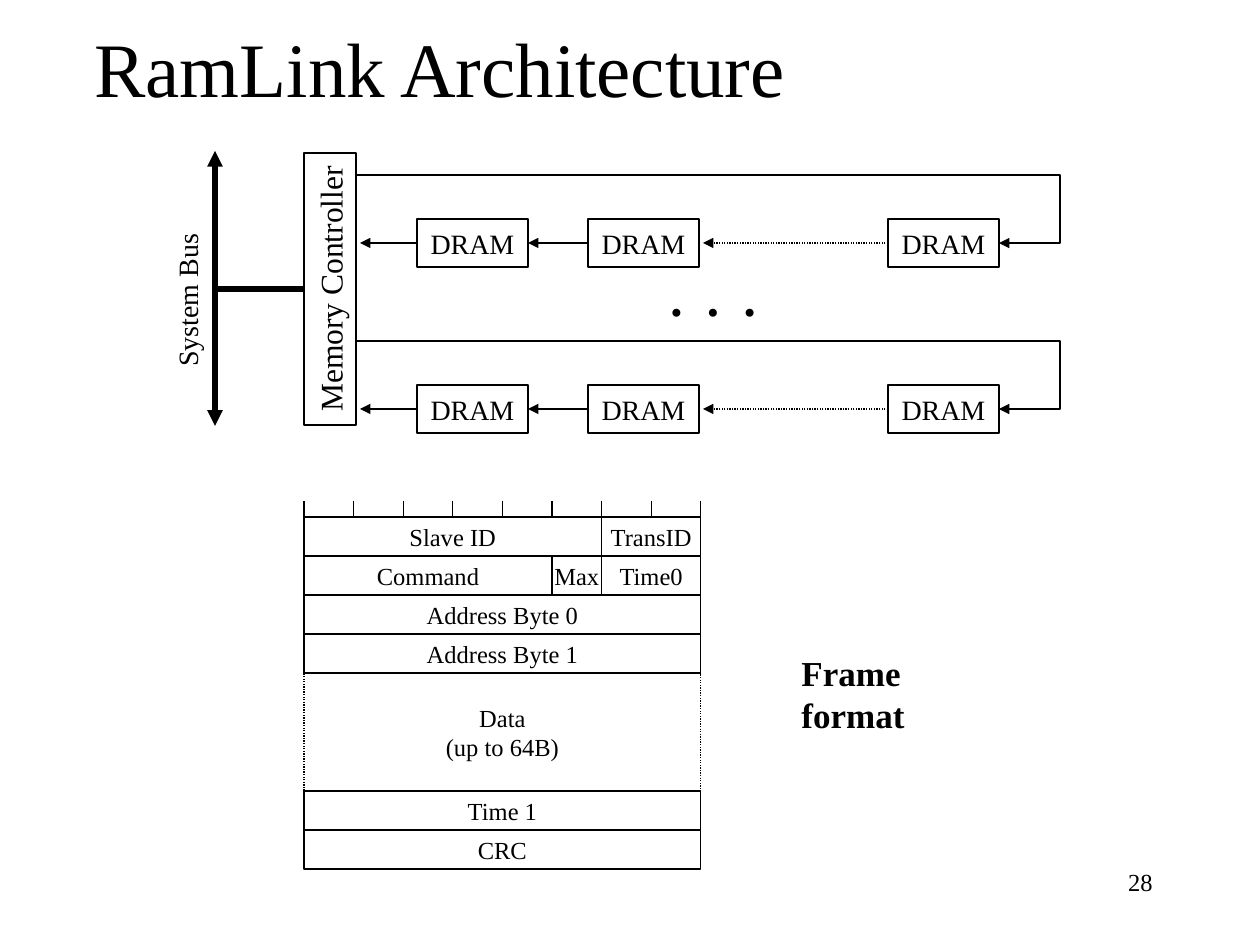
from dataclasses import dataclass
from lxml.etree import SubElement
from pptx import Presentation
from pptx.dml.color import RGBColor
from pptx.enum.dml import MSO_LINE
from pptx.enum.shapes import MSO_CONNECTOR, MSO_SHAPE
from pptx.enum.text import MSO_ANCHOR, PP_ALIGN
from pptx.oxml.ns import qn
from pptx.util import Pt

SCALE = 914400 / 126


@dataclass(frozen=True)
class Theme:
    ink: RGBColor = RGBColor(0, 0, 0)
    paper: RGBColor = RGBColor(255, 255, 255)
    face: str = "Times New Roman"
    title: int = 44
    dots: int = 28
    note: int = 20
    chip: int = 18
    body: int = 16
    small: int = 14
    thin: float = 0.75
    thick: float = 3


THEME = Theme()


def px(num):
    return round(num * SCALE)


def write(shape, text, size, bold=False, align=PP_ALIGN.LEFT):
    frame = shape.text_frame
    frame.text = text
    frame.word_wrap = True
    for para in frame.paragraphs:
        para.alignment = align
        for run in para.runs:
            font = run.font
            font.name, font.size, font.bold = THEME.face, Pt(size), bold
            font.color.rgb = THEME.ink


def turn(shape):
    """Make the text read from bottom to top."""
    shape.text_frame._txBody.bodyPr.set("vert", "vert270")


def stroke(shape, width=THEME.thin, dotted=False, head=False, tail=False):
    line = shape.line
    line.color.rgb = THEME.ink
    line.width = Pt(width)
    if dotted:
        line.dash_style = MSO_LINE.ROUND_DOT
    for used, tag in ((head, "a:headEnd"), (tail, "a:tailEnd")):
        if used:
            SubElement(line._get_or_add_ln(), qn(tag), type="triangle")


def add_box(slide, text, x, y, w, h, size, dotted=False):
    box = slide.shapes.add_shape(MSO_SHAPE.RECTANGLE, px(x), px(y), px(w), px(h))
    box.shadow.inherit = False
    box.fill.solid()
    box.fill.fore_color.rgb = THEME.paper
    stroke(box, dotted=dotted)
    write(box, text, size, align=PP_ALIGN.CENTER)
    frame = box.text_frame
    frame.vertical_anchor = MSO_ANCHOR.MIDDLE
    frame.margin_left = frame.margin_right = 0
    frame.margin_top = frame.margin_bottom = 0
    return box


def add_label(slide, text, x, y, w, h, size, **style):
    label = slide.shapes.add_textbox(px(x), px(y), px(w), px(h))
    write(label, text, size, **style)
    return label


def add_line(slide, x1, y1, x2, y2, **style):
    line = slide.shapes.add_connector(
        MSO_CONNECTOR.STRAIGHT, px(x1), px(y1), px(x2), px(y2))
    stroke(line, **style)
    SubElement(line._element.spPr, qn("a:effectLst"))
    return line


def add_lane(slide, top):
    """Draw one ring: out of the controller, back through the DRAM chips."""
    mid = top + 68
    path = slide.shapes.build_freeform(348, top, SCALE)
    path.add_line_segments([(1060, top), (1060, mid), (999, mid)], close=False)
    loop = path.convert_to_shape()
    loop.fill.background()
    loop.shadow.inherit = False
    stroke(loop, tail=True)

    wide, high = 111, 48
    near, next_, far = [
        add_box(slide, "DRAM", x, mid - high // 2, wide, high, THEME.body)
        for x in (417, 588, 888)]
    gap = add_line(slide, 888, mid, 703, mid, dotted=True, tail=True)
    gap.begin_connect(far, 1)
    hop = add_line(slide, 588, mid, 528, mid, tail=True)
    hop.begin_connect(next_, 1)
    hop.end_connect(near, 3)
    back = add_line(slide, 417, mid, 360, mid, tail=True)
    back.begin_connect(near, 1)


def add_bus(slide):
    chip = add_box(slide, "Memory Controller", 304, 153, 52, 272, THEME.chip)
    turn(chip)
    add_line(slide, 215, 426, 215, 151, width=THEME.thick, head=True, tail=True)
    stub = add_line(slide, 304, 289, 215, 289, width=THEME.thick)
    stub.begin_connect(chip, 1)
    turn(add_label(slide, "System Bus", 164, 220, 47, 159, THEME.body))


def add_frame(slide):
    """Draw the packet, eight bits wide, with a tick at each bit."""
    left, top, bit, high, tall = 304, 517, 49.6, 39, 118
    full = 8 * bit
    for num in range(9):
        x = left + num * bit
        add_line(slide, x, top - 16, x, top)

    data = top + 4 * high
    add_box(slide, "Data\n(up to 64B)", left, data, full, tall,
            THEME.small, dotted=True)
    upper = [
        [("Slave ID", 6), ("TransID", 2)],
        [("Command", 5), ("Max", 1), ("Time0", 2)],
        [("Address Byte 0", 8)],
        [("Address Byte 1", 8)],
    ]
    lower = [[("Time 1", 8)], [("CRC", 8)]]
    for start, rows in ((top, upper), (data + tall, lower)):
        for num, row in enumerate(rows):
            x = left
            for text, bits in row:
                add_box(slide, text, x, start + num * high, bits * bit, high,
                        THEME.small)
                x += bits * bit


def add_title(slide, text):
    title = slide.shapes.title
    title.left, title.top, title.width, title.height = map(px, (82, 0, 914, 134))
    write(title, text, THEME.title)
    title.text_frame.vertical_anchor = MSO_ANCHOR.MIDDLE


def main():
    deck = Presentation()
    deck.slide_width, deck.slide_height = px(1260), px(945)
    slide = deck.slides.add_slide(deck.slide_layouts[5])
    add_title(slide, "RamLink Architecture")
    for top in (175, 341):
        add_lane(slide, top)
    add_bus(slide)
    dots = add_label(slide, ". . .", 658, 261, 111, 72, THEME.dots, bold=True)
    dots.text_frame.paragraphs[0].runs[0].font._element.set("spc", "350")
    add_label(slide, "Frame format", 789, 645, 232, 54, THEME.note, bold=True)
    add_frame(slide)
    add_label(slide, "28", 903, 861, 262, 63, THEME.small, align=PP_ALIGN.RIGHT)
    deck.save("out.pptx")


if __name__ == "__main__":
    main()
